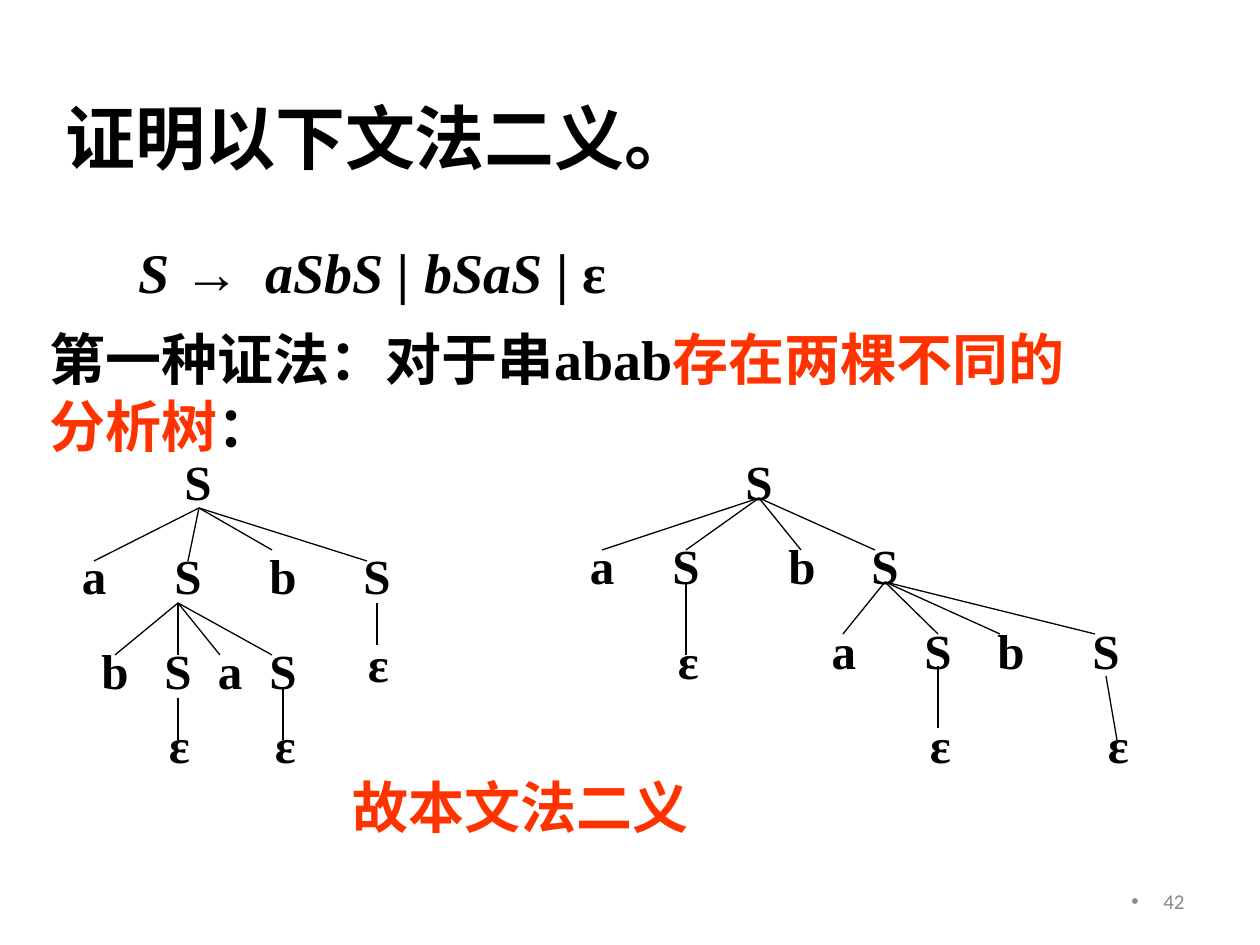
import dataclasses

import pptx
import pptx.dml.color
import pptx.enum.shapes
import pptx.enum.text
import pptx.util
from lxml import etree
from pptx.oxml.ns import qn

PX = 914400 / 126  # EMU in one px
ALIGN = pptx.enum.text.PP_ALIGN
ANCHOR = pptx.enum.text.MSO_ANCHOR


@dataclasses.dataclass(frozen=True)
class Theme:
    serif: str = "Times New Roman"
    symbol: str = "Arial"
    sans: str = "Calibri"
    ink: str = "000000"
    accent: str = "FF3300"
    muted: str = "898989"
    title: int = 40
    body: int = 32
    node: int = 28
    small: int = 12
    line: float = 0.75


THEME = Theme()
NODE_W, LEAF_W, NODE_H = 84, 45, 72

# Each row: top, then (label, centre x); each fan: start point, then end points
LEFT_TREE = {
    "rows": [
        (445, [("S", 198)]),
        (539, [("a", 94), ("S", 188), ("b", 283), ("S", 377)]),
        (634, [("b", 115), ("S", 178), ("a", 230), ("S", 283)]),
        (627, [("ε", 378)]),
        (708, [("ε", 179), ("ε", 285)]),
    ],
    "fans": [
        ((199, 508), [(94, 561), (188, 561), (272, 550), (367, 561)]),
        ((178, 603), [(115, 655), (178, 655), (220, 655), (272, 655)]),
        ((178, 698), [(178, 740)]),
        ((283, 687), [(283, 740)]),
        ((377, 603), [(377, 645)]),
    ],
}
RIGHT_TREE = {
    "rows": [
        (445, [("S", 759)]),
        (529, [("a", 602), ("S", 686), ("b", 802), ("S", 885)]),
        (614, [("a", 844), ("S", 938), ("b", 1011), ("S", 1106)]),
        (624, [("ε", 688)]),
        (708, [("ε", 940), ("ε", 1118)]),
    ],
    "fans": [
        ((759, 498), [(602, 550), (686, 550), (801, 550), (875, 550)]),
        ((686, 582), [(686, 655)]),
        ((885, 582), [(843, 634), (938, 634), (1000, 634), (1095, 634)]),
        ((938, 666), [(938, 728)]),
        ((1106, 676), [(1117, 740)]),
    ],
}


def emu(px):
    return pptx.util.Emu(round(px * PX))


def add_text(shapes, box, runs, *, size, font=THEME.serif, color=THEME.ink,
             bold=True, align=ALIGN.LEFT, anchor=ANCHOR.TOP, wrap=True):
    """Add a text box; runs is a string or a list of (text, overrides)."""
    sp = shapes.add_textbox(*map(emu, box))
    tf = sp.text_frame
    tf.word_wrap = wrap
    tf.vertical_anchor = anchor
    p = tf.paragraphs[0]
    p.alignment = align
    for text, own in [(runs, {})] if isinstance(runs, str) else runs:
        r = p.add_run()
        r.text = text
        r.font.size = pptx.util.Pt(size)
        r.font.name = own.get("font", font)
        r.font.bold = bold
        r.font.italic = own.get("italic", False)
        r.font.color.rgb = pptx.dml.color.RGBColor.from_string(own.get("color", color))
    return p


def add_tab(p, px):
    tabs = etree.SubElement(p._p.get_or_add_pPr(), qn("a:tabLst"))
    etree.SubElement(tabs, qn("a:tab"), pos=str(emu(px)), algn="l")


def add_bullet(p, indent):
    pPr = p._p.get_or_add_pPr()
    pPr.set("marL", str(emu(indent)))
    pPr.set("indent", str(-emu(indent)))
    etree.SubElement(pPr, qn("a:buFont"), typeface=THEME.symbol)
    etree.SubElement(pPr, qn("a:buChar"), char="•")


def add_branch(shapes, start, end):
    line = shapes.add_connector(pptx.enum.shapes.MSO_CONNECTOR.STRAIGHT,
                                *map(emu, start + end))
    line.line.color.rgb = pptx.dml.color.RGBColor.from_string(THEME.ink)
    line.line.width = pptx.util.Pt(THEME.line)
    etree.SubElement(line._element.spPr, qn("a:effectLst"))


def add_tree(s, tree):
    shapes = s.shapes.add_group_shape().shapes
    for top, nodes in tree["rows"]:
        for label, center in nodes:
            is_leaf = label == "ε"
            width = LEAF_W if is_leaf else NODE_W
            add_text(shapes, (center - width / 2, top, width, NODE_H), label,
                     size=THEME.node, align=ALIGN.CENTER, wrap=not is_leaf)
    for start, ends in tree["fans"]:
        for end in ends:
            add_branch(shapes, start, end)


def main():
    prs = pptx.Presentation()
    prs.slide_width, prs.slide_height = emu(1260), emu(945)
    s = prs.slides.add_slide(prs.slide_layouts[6])

    # Title and grammar
    add_text(s.shapes, (53, 84, 1071, 105), "证明以下文法二义。",
             size=THEME.title, anchor=ANCHOR.MIDDLE)
    grammar = [("S ", {"italic": True}), ("→\t", {"font": THEME.symbol}),
               ("aSbS | bSaS", {"italic": True}), (" | ε", {})]
    add_tab(add_text(s.shapes, (126, 231, 788, 81), grammar, size=THEME.body), 127)

    # Claim
    claim = [("第一种证法：对于串abab", {}),
             ("存在两棵不同的分析树", {"color": THEME.accent}), ("：", {})]
    add_text(s.shapes, (37, 318, 1050, 147), claim, size=THEME.body)

    # Parse trees
    for tree in (LEFT_TREE, RIGHT_TREE):
        add_tree(s, tree)

    # Conclusion
    add_text(s.shapes, (284, 766, 473, 81), "故本文法二义", size=THEME.body,
             color=THEME.accent, align=ALIGN.CENTER)

    # Slide number
    number = add_text(s.shapes, (903, 876, 294, 50), "42", size=THEME.small,
                      font=THEME.sans, color=THEME.muted, bold=False,
                      align=ALIGN.RIGHT, anchor=ANCHOR.MIDDLE)
    add_bullet(number, 32)

    prs.save("out.pptx")


if __name__ == "__main__":
    main()
